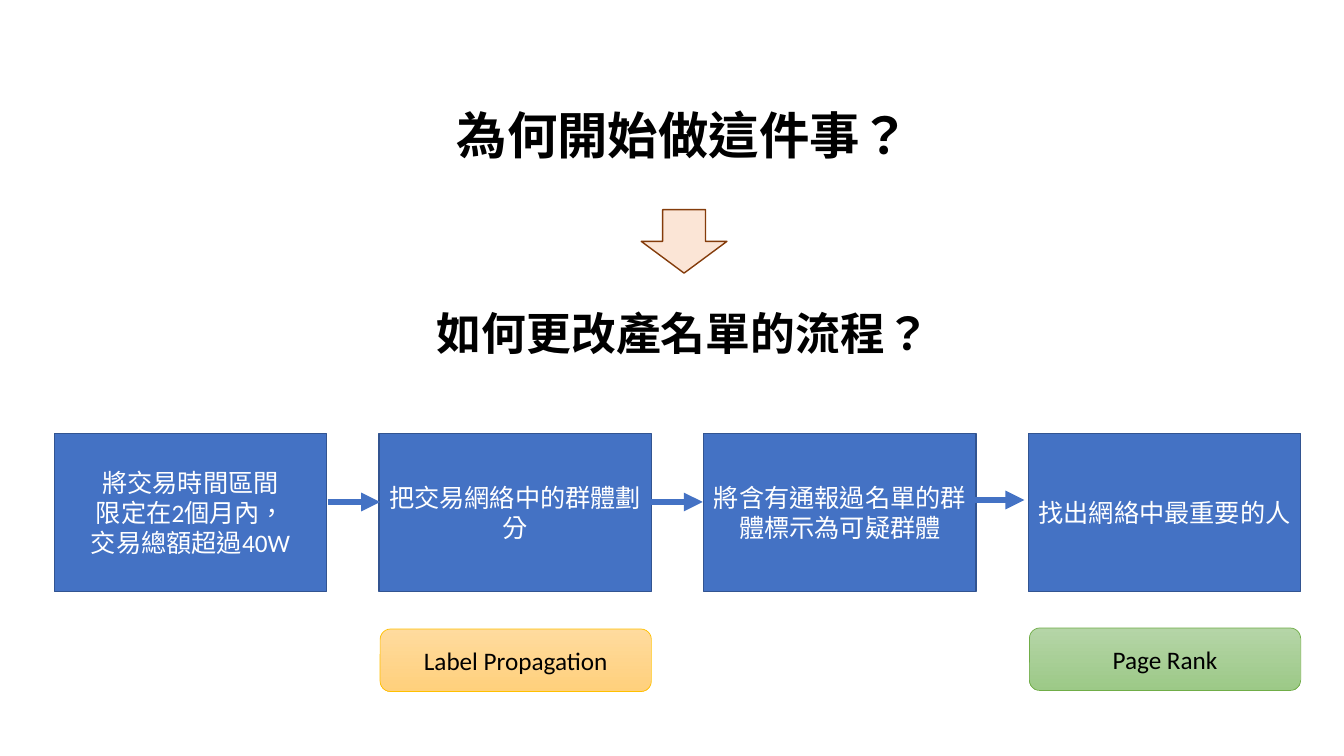
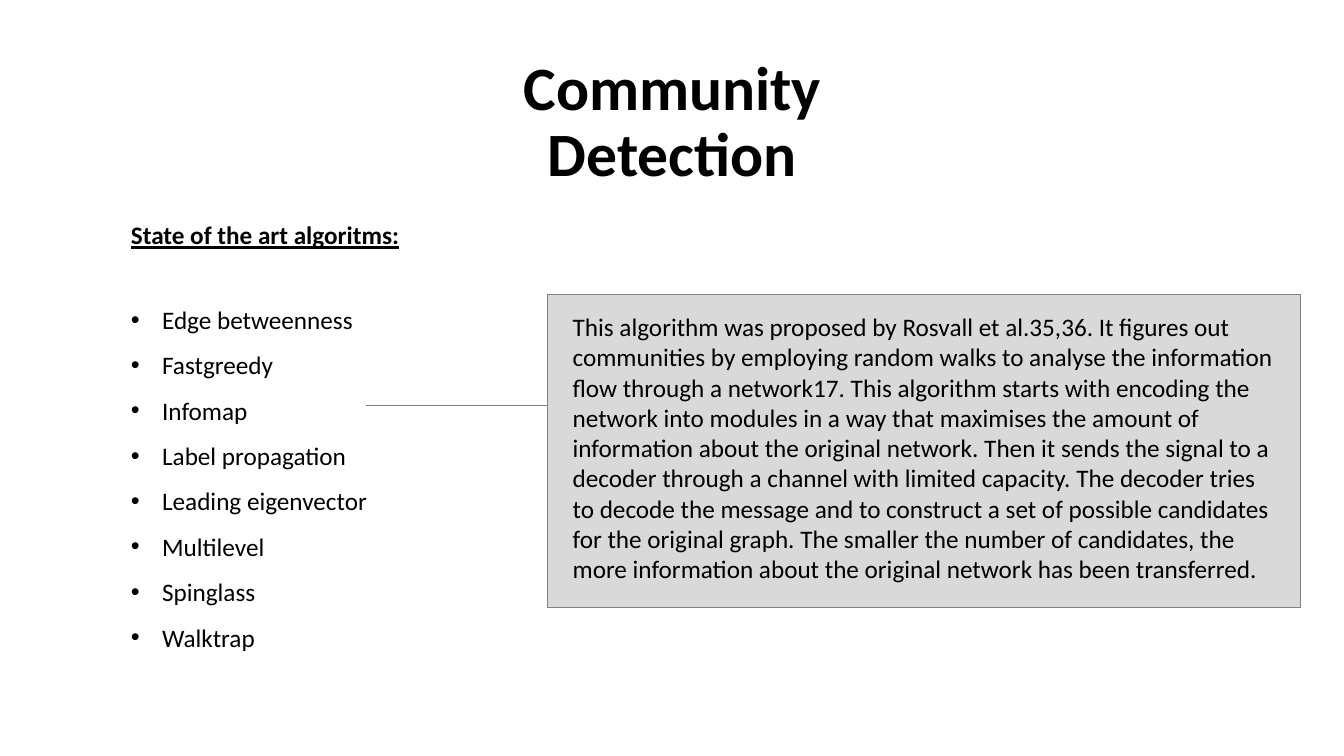
from dataclasses import dataclass

from lxml import etree
from pptx import Presentation
from pptx import util as u
from pptx.dml.color import RGBColor
from pptx.enum import lang, shapes, text
from pptx.oxml import ns

PX = 9144  # 100 px to the inch


@dataclass(frozen=True)
class Theme:
    font: str = "Calibri"
    black: str = "000000"
    white: str = "FFFFFF"
    blue: str = "4472C4"
    blue_edge: str = "325491"
    peach: str = "FBE5D6"
    brown: str = "843C0B"
    grey: str = "D9D9D9"
    grey_edge: str = "808080"
    amber: tuple = ("FFDB9E", "FFD07C")
    amber_edge: str = "FFC000"
    green: tuple = ("B5D5A7", "9CC987")
    green_edge: str = "70AD47"
    body: int = 18
    subtitle: int = 32
    title: int = 36
    topic: int = 44


THEME = Theme()
SHAPE = shapes.MSO_SHAPE
CENTER = text.PP_ALIGN.CENTER
LEFT = text.PP_ALIGN.LEFT
TOP = text.MSO_ANCHOR.TOP
MIDDLE = text.MSO_ANCHOR.MIDDLE

# Process boxes on the first slide
STEP_LEFT, STEP_TOP, STEP_WIDTH, STEP_HEIGHT, STEP_PITCH = 54, 430, 270, 157, 322
STEPS = [
    ["將交易時間區間", "限定在2個月內，", "交易總額超過40W"],
    ["把交易網絡中的群體劃分"],
    ["將含有通報過名單的群體標示為可疑群體"],
    ["找出網絡中最重要的人"],
]
ARROW_STARTS = [(325, 498), (645, 498), (964, 496)]
ARROW_LENGTH = 52

ALGORITHMS = [
    "Edge betweenness", "Fastgreedy", "Infomap", "Label propagation",
    "Leading eigenvector", "Multilevel", "Spinglass", "Walktrap",
]
INFOMAP = (
    "This algorithm was proposed by Rosvall et al.35,36. It figures out "
    "communities by employing random walks to analyse the information flow "
    "through a network17. This algorithm starts with encoding the network "
    "into modules in a way that maximises the amount of information about the "
    "original network. Then it sends the signal to a decoder through a channel "
    "with limited capacity. The decoder tries to decode the message and to "
    "construct a set of possible candidates for the original graph. The smaller "
    "the number of candidates, the more information about the original network "
    "has been transferred."
)


def px(*lengths):
    return [u.Emu(length * PX) for length in lengths]


def add_bullet(para, indent):
    props = para._p.get_or_add_pPr()
    props.set("marL", str(indent * PX))
    props.set("indent", str(-indent * PX))
    etree.SubElement(props, ns.qn("a:buFont")).set("typeface", "Arial")
    etree.SubElement(props, ns.qn("a:buChar")).set("char", "•")


def write(box, lines, size=THEME.body, color=THEME.black, align=CENTER,
          anchor=MIDDLE, bold=False, underline=False, spacing=None, bullet=0):
    """Fill a box with one paragraph for each line."""
    frame = box.text_frame
    frame.word_wrap = True
    frame.vertical_anchor = anchor
    for index, line in enumerate(lines):
        para = frame.add_paragraph() if index else frame.paragraphs[0]
        if bullet:
            add_bullet(para, bullet)
        para.alignment = align
        if spacing:
            para.line_spacing = spacing
        span = para.add_run()
        span.text = line
        font = span.font
        font.name, font.size = THEME.font, u.Pt(size)
        font.bold, font.underline = bold, underline
        font.color.rgb = RGBColor.from_string(color)
        if not line.isascii():
            font.language_id = lang.MSO_LANGUAGE_ID.TRADITIONAL_CHINESE


def add_text(page, area, lines, **style):
    write(page.shapes.add_textbox(*px(*area)), lines, **style)


def add_title(page, area, title, size):
    add_text(page, area, [title], size=size, bold=True, spacing=0.9)


def add_box(page, kind, area, fill, edge, weight=1):
    """Add a shape; a pair of fill colours makes a downward gradient."""
    box = page.shapes.add_shape(kind, *px(*area))
    box.shadow.inherit = False
    if isinstance(fill, tuple):
        box.fill.gradient()
        box.fill.gradient_angle = 270
        for stop, color in zip(box.fill.gradient_stops, fill):
            stop.color.rgb = RGBColor.from_string(color)
    else:
        box.fill.solid()
        box.fill.fore_color.rgb = RGBColor.from_string(fill)
    box.line.color.rgb = RGBColor.from_string(edge)
    box.line.width = u.Pt(weight)
    return box


def add_line(page, left, top, length, color, weight, arrow=False):
    line = page.shapes.add_connector(
        shapes.MSO_CONNECTOR.STRAIGHT, *px(left, top, left + length, top))
    line.line.color.rgb = RGBColor.from_string(color)
    line.line.width = u.Pt(weight)
    if arrow:
        head = etree.SubElement(line.line._get_or_add_ln(), ns.qn("a:tailEnd"))
        head.set("type", "triangle")
    etree.SubElement(line._element.spPr, ns.qn("a:effectLst"))


def add_method(page, area, name, fill, edge):
    write(add_box(page, SHAPE.ROUNDED_RECTANGLE, area, fill, edge, 0.5), [name])


def build_process(page):
    # Two questions
    add_title(page, (103, 65, 1150, 145), "為何開始做這件事？", THEME.title)
    add_box(page, SHAPE.DOWN_ARROW, (636, 208, 85, 63), THEME.peach, THEME.brown)
    add_title(page, (103, 261, 1150, 145), "如何更改產名單的流程？", THEME.subtitle)

    # Steps and the arrows between them
    for index, lines in enumerate(STEPS):
        area = (STEP_LEFT + index * STEP_PITCH, STEP_TOP, STEP_WIDTH, STEP_HEIGHT)
        box = add_box(page, SHAPE.RECTANGLE, area, THEME.blue, THEME.blue_edge)
        write(box, lines, color=THEME.white)
    for left, top in ARROW_STARTS:
        add_line(page, left, top, ARROW_LENGTH, THEME.blue, 4.5, arrow=True)

    # Methods below their steps
    add_method(page, (377, 624, 269, 62), "Label Propagation",
               THEME.amber, THEME.amber_edge)
    add_method(page, (1021, 623, 269, 62), "Page Rank",
               THEME.green, THEME.green_edge)


def build_detection(page):
    add_title(page, (385, 50, 564, 145), "Community Detection", THEME.topic)

    # Algorithm list
    add_text(page, (120, 213, 300, 40), ["State of the art algoritms:"],
             align=LEFT, anchor=TOP, bold=True, underline=True)
    add_text(page, (120, 282, 300, 369), ALGORITHMS,
             align=LEFT, anchor=TOP, spacing=1.5, bullet=31)

    # Explanation of one algorithm
    callout = add_box(page, SHAPE.RECTANGLE, (543, 292, 747, 311),
                      THEME.grey, THEME.grey_edge)
    frame = callout.text_frame
    frame.margin_left, frame.margin_right, frame.margin_top = px(25, 25, 17)
    write(callout, [INFOMAP], align=LEFT, anchor=TOP)
    add_line(page, 363, 402, 180, THEME.grey_edge, 0.5)


def main():
    deck = Presentation()
    deck.slide_width, deck.slide_height = u.Inches(13.33), u.Inches(7.5)
    blank = deck.slide_layouts[6]
    for build in (build_process, build_detection):
        build(deck.slides.add_slide(blank))
    deck.save("out.pptx")


if __name__ == "__main__":
    main()
